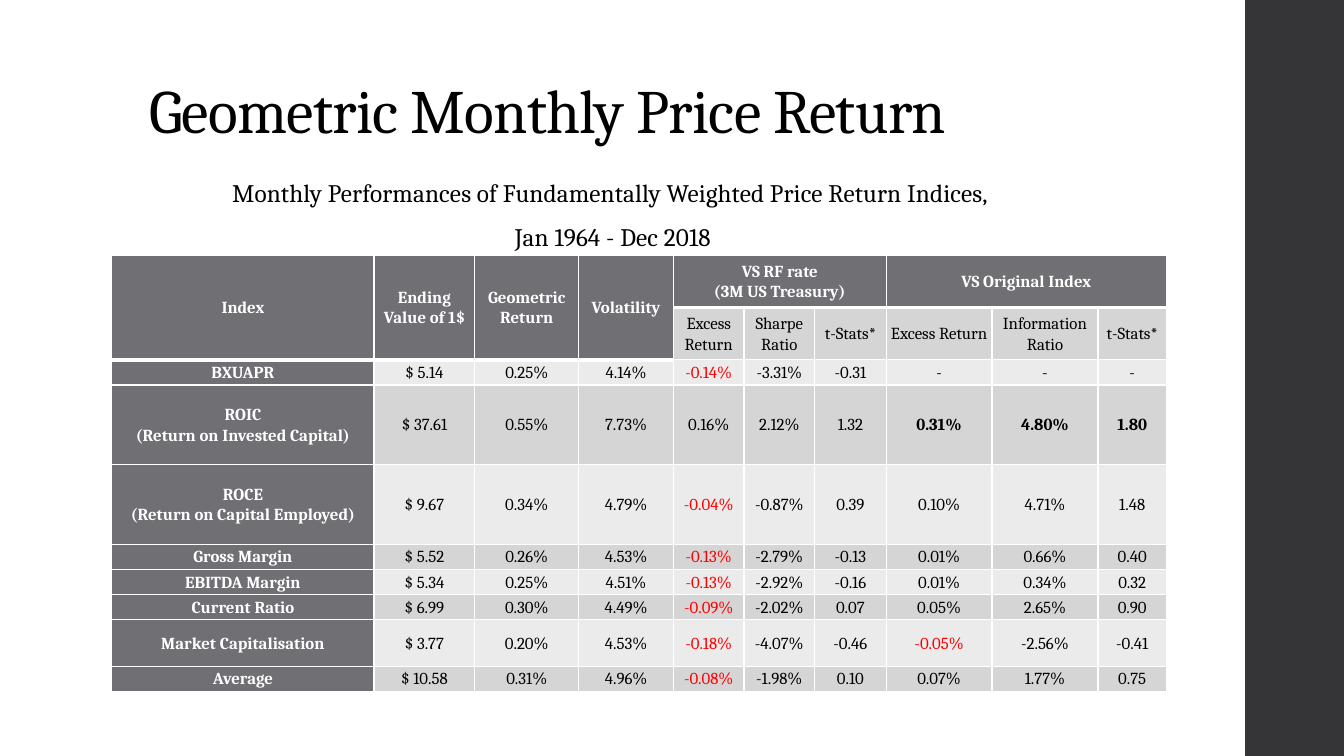
from lxml import etree
from pptx import Presentation
from pptx.dml.color import RGBColor
from pptx.enum.shapes import MSO_SHAPE
from pptx.enum.text import MSO_ANCHOR, MSO_AUTO_SIZE, PP_ALIGN
from pptx.oxml.ns import qn
from pptx.util import Inches, Pt

TITLE = "Geometric Monthly Price Return"
SUB = ("Monthly Performances of Fundamentally Weighted Price Return Indices, \n"
       "Jan 1964 - Dec 2018")
HEADS = [
    ("Index", "Ending Value of 1$", "Geometric\nReturn", "Volatility",
     "VS RF rate\n(3M US Treasury)", "", "", "VS Original Index", "", ""),
    ("", "", "", "", "Excess Return", "Sharpe Ratio", "t-Stats*",
     "Excess Return", "Information Ratio", "t-Stats*"),
]
DATA = [
    ("BXUAPR", "$ 5.14", "0.25%", "4.14%", "-0.14%", "-3.31%", "-0.31", "-", "-", "-"),
    ("ROIC\n(Return on Invested Capital)", "$ 37.61", "0.55%", "7.73%",
     "0.16%", "2.12%", "1.32", "0.31%", "4.80%", "1.80"),
    ("ROCE\n(Return on Capital Employed)", "$ 9.67", "0.34%", "4.79%",
     "-0.04%", "-0.87%", "0.39", "0.10%", "4.71%", "1.48"),
    ("Gross Margin", "$ 5.52", "0.26%", "4.53%", "-0.13%", "-2.79%", "-0.13",
     "0.01%", "0.66%", "0.40"),
    ("EBITDA Margin", "$ 5.34", "0.25%", "4.51%", "-0.13%", "-2.92%", "-0.16",
     "0.01%", "0.34%", "0.32"),
    ("Current Ratio", "$ 6.99", "0.30%", "4.49%", "-0.09%", "-2.02%", "0.07",
     "0.05%", "2.65%", "0.90"),
    ("Market Capitalisation", "$ 3.77", "0.20%", "4.53%", "-0.18%", "-4.07%", "-0.46",
     "-0.05%", "-2.56%", "-0.41"),
    ("Average", "$ 10.58", "0.31%", "4.96%", "-0.08%", "-1.98%", "0.10",
     "0.07%", "1.77%", "0.75"),
]
WIDTHS = [2.6, 1, 1.03, 0.94, 0.7, 0.7, 0.71, 1.05, 1.05, 0.68]
HEIGHTS = [0.52, 0.52, 0.25, 0.79, 0.79, 0.25, 0.25, 0.25, 0.46, 0.25]
MERGES = [((0, col), (1, col)) for col in range(4)]
MERGES += [((0, col), (0, col + 2)) for col in (4, 7)]
EXCESS = (4, 7)
BEST = 3

FONT = "Cambria"
WHITE = RGBColor(0xFF, 0xFF, 0xFF)
BLACK = RGBColor(0, 0, 0)
RED = RGBColor(0xFF, 0, 0)
BAR = RGBColor(0x35, 0x35, 0x37)
GRAY = RGBColor(0x6F, 0x6F, 0x74)
MID = RGBColor(0xD5, 0xD5, 0xD6)
PALE = RGBColor(0xEB, 0xEB, 0xEB)
CENTER, LEFT = PP_ALIGN.CENTER, PP_ALIGN.LEFT
MIDDLE = MSO_ANCHOR.MIDDLE
FIXED = MSO_AUTO_SIZE.NONE
RECT = MSO_SHAPE.RECTANGLE


def write(frame, text, size, color=BLACK, bold=False, align=CENTER,
          lead=1.0, after=0, track=0):
    frame.text = text
    for para in frame.paragraphs:
        para.alignment = align
        para.line_spacing = lead
        para.space_before = Pt(0)
        para.space_after = Pt(after)
        for run in para.runs:
            font = run.font
            font.name, font.size, font.bold = FONT, Pt(size), bold
            font.color.rgb = color
            if track:
                font._element.set("spc", str(track))


def edge(cell, side, width):
    line = etree.SubElement(cell._tc.get_or_add_tcPr(), qn("a:ln" + side), w=str(Pt(width)))
    fill = etree.SubElement(line, qn("a:solidFill"))
    etree.SubElement(fill, qn("a:srgbClr"), val=str(WHITE))


def style(cell, row, col, text):
    head = col == 0 or row == 0 or (row == 1 and col < 4)
    loss = col in EXCESS and text.startswith("-") and len(text) > 1
    color = WHITE if head else RED if loss else BLACK
    bold = head or (row == BEST and col >= EXCESS[1])
    cell.vertical_anchor = MIDDLE
    cell.margin_left = cell.margin_right = Inches(0.04)
    cell.margin_top = cell.margin_bottom = 0
    write(cell.text_frame, text, 12, color, bold, lead=1.07)
    for side in "LRTB":
        edge(cell, side, 3 if side == "B" and head and row < 2 else 1)
    cell.fill.solid()
    cell.fill.fore_color.rgb = GRAY if head else MID if row % 2 else PALE


def main():
    deck = Presentation()
    deck.slide_width, deck.slide_height = Inches(13.33), Inches(7.5)
    slide = deck.slides.add_slide(deck.slide_layouts[5])
    shapes = slide.shapes

    bar = shapes.add_shape(RECT, Inches(12.35), 0, Inches(0.98), Inches(7.5))
    bar.shadow.inherit = False
    bar.fill.solid()
    bar.fill.fore_color.rgb = BAR
    bar.line.fill.background()

    grid = shapes.add_table(len(HEIGHTS), len(WIDTHS), Inches(1.11), Inches(2.53),
                            Inches(sum(WIDTHS)), Inches(sum(HEIGHTS))).table
    for col, width in enumerate(WIDTHS):
        grid.columns[col].width = Inches(width)
    for row, texts in enumerate(HEADS + DATA):
        grid.rows[row].height = Inches(HEIGHTS[row])
        for col, text in enumerate(texts):
            style(grid.cell(row, col), row, col, text)
    for start, end in MERGES:
        grid.cell(*start).merge(grid.cell(*end))

    title = shapes.title
    title.left, title.top = Inches(1.38), Inches(0.4)
    title.width, title.height = Inches(10.6), Inches(1.45)
    title.text_frame.auto_size = FIXED
    title.text_frame.vertical_anchor = MIDDLE
    write(title.text_frame, TITLE, 44, align=LEFT, lead=0.9, track=-50)

    sub = shapes.add_textbox(Inches(0.18), Inches(1.71), Inches(11.8), Inches(0.85))
    sub.text_frame.word_wrap = True
    write(sub.text_frame, SUB, 18, after=10, track=10)

    deck.save("out.pptx")


if __name__ == "__main__":
    main()
